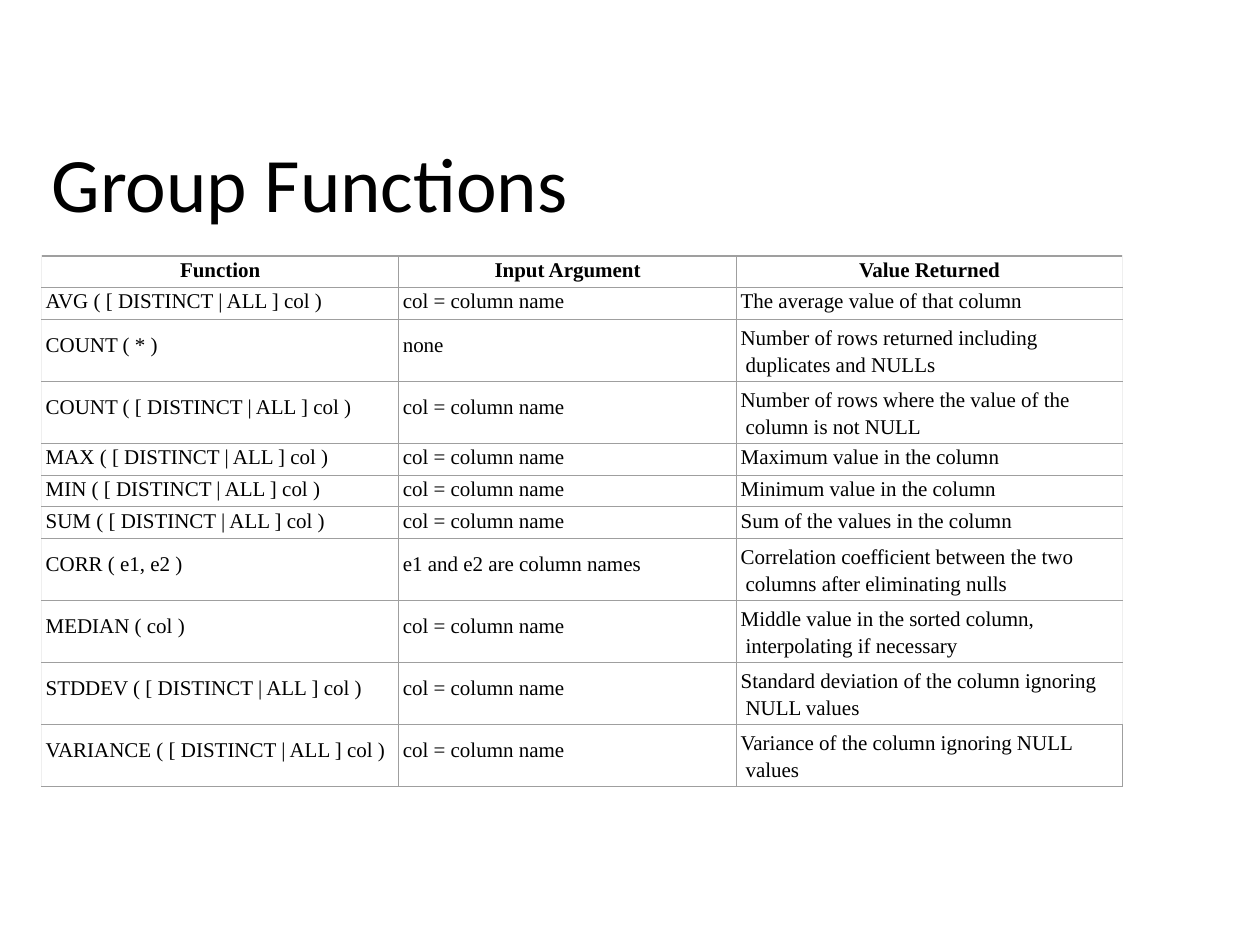
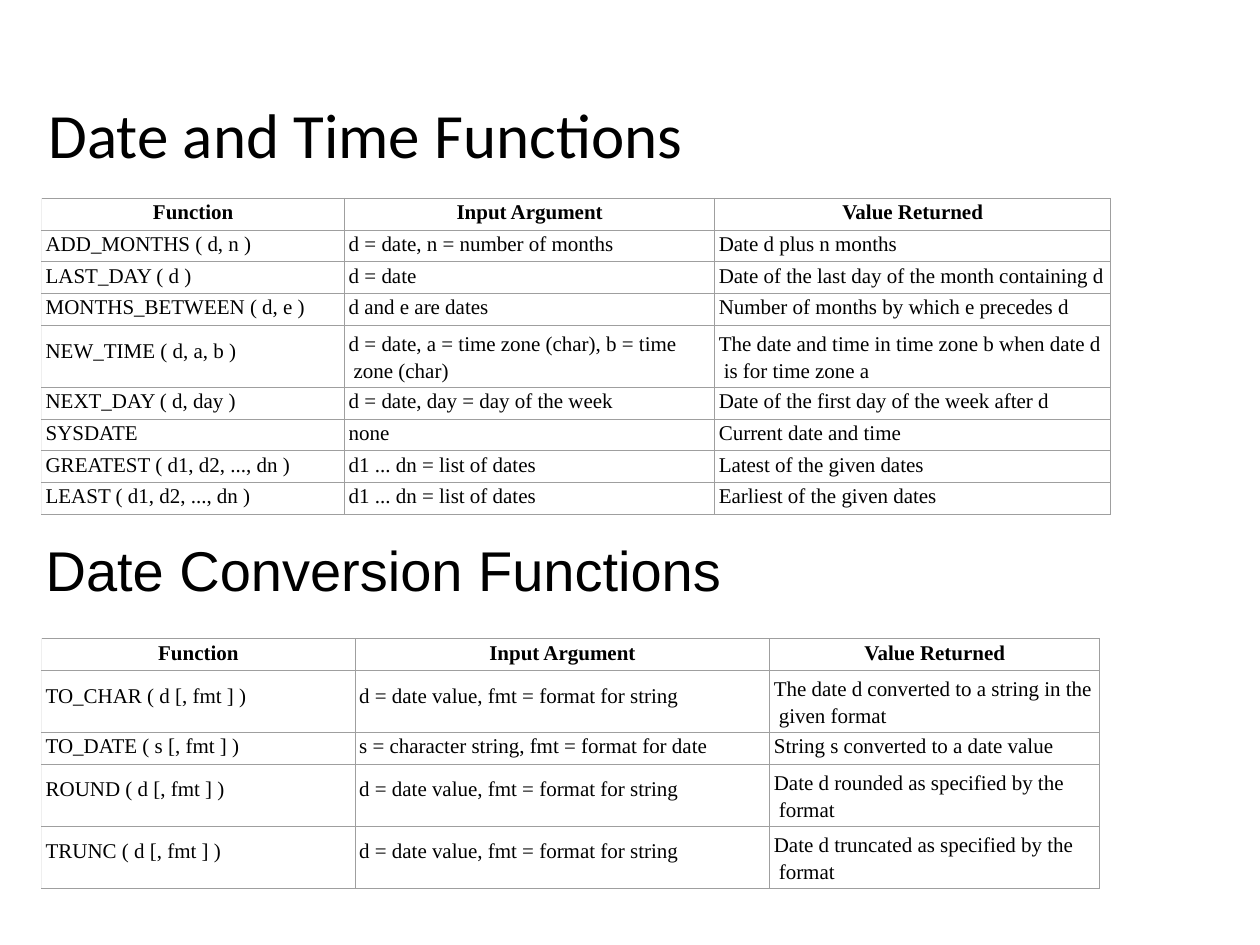
from dataclasses import dataclass

from lxml.etree import SubElement
from pptx import Presentation
from pptx.dml.color import RGBColor
from pptx.enum.text import MSO_ANCHOR, MSO_AUTO_SIZE, PP_ALIGN
from pptx.oxml.ns import qn
from pptx.util import Cm, Pt

BLACK = RGBColor(0x00, 0x00, 0x00)
GRAY = RGBColor(0x9F, 0x9F, 0x9F)
PALE = RGBColor(0xEF, 0xEF, 0xEF)
LEFT = Cm(0.84)
LOW, TALL = Cm(0.64), Cm(1.14)
PAD, HANG = Cm(0.08), Cm(0.1)
LONG = 40
HEADS = ("Function", "Input Argument", "Value Returned")
COL = "col = column name"
DATES = "d1 ... dn = list of dates"
VALUE = "d = date value, fmt = format for string"


@dataclass(frozen=True)
class Row:
    """One function, its input and its result."""

    cells: tuple[str, str, str]
    tall: bool = False


@dataclass(frozen=True)
class Grid:
    """A table of functions."""

    top: float
    widths: tuple[float, float, float]
    rows: tuple[Row, ...]
    fade: bool = False


@dataclass(frozen=True)
class Head:
    """A heading and its box in centimetres."""

    text: str
    top: float
    width: float
    height: float
    size: int
    font: str = "Calibri"


GROUP_HEAD = Head("Group Functions", 2.69, 10.69, 1.93, 44)
DATE_HEAD = Head("Date and Time Functions", 1.88, 12.93, 1.6, 36)
FORMAT_HEAD = Head("Date Conversion Functions", 10.77, 17.96, 1.4, 32, "Arial")

GROUP = Grid(5.16, (7.2, 6.81, 7.78), (
    Row(("AVG ( [ DISTINCT | ALL ] col )", COL, "The average value of that column")),
    Row(("COUNT ( * )", "none",
         "Number of rows returned including duplicates and NULLs"), True),
    Row(("COUNT ( [ DISTINCT | ALL ] col )", COL,
         "Number of rows where the value of the column is not NULL"), True),
    Row(("MAX ( [ DISTINCT | ALL ] col )", COL, "Maximum value in the column")),
    Row(("MIN ( [ DISTINCT | ALL ] col )", COL, "Minimum value in the column")),
    Row(("SUM ( [ DISTINCT | ALL ] col )", COL, "Sum of the values in the column")),
    Row(("CORR ( e1, e2 )", "e1 and e2 are column names",
         "Correlation coefficient between the two columns after eliminating nulls"), True),
    Row(("MEDIAN ( col )", COL,
         "Middle value in the sorted column, interpolating if necessary"), True),
    Row(("STDDEV ( [ DISTINCT | ALL ] col )", COL,
         "Standard deviation of the column ignoring NULL values"), True),
    Row(("VARIANCE ( [ DISTINCT | ALL ] col )", COL,
         "Variance of the column ignoring NULL values"), True),
), fade=True)

DATE = Grid(4.0, (6.11, 7.46, 7.98), (
    Row(("ADD_MONTHS ( d, n )", "d = date, n = number of months", "Date d plus n months")),
    Row(("LAST_DAY ( d )", "d = date", "Date of the last day of the month containing d")),
    Row(("MONTHS_BETWEEN ( d, e )", "d and e are dates",
         "Number of months by which e precedes d")),
    Row(("NEW_TIME ( d, a, b )", "d = date, a = time zone (char), b = time zone (char)",
         "The date and time in time zone b when date d is for time zone a"), True),
    Row(("NEXT_DAY ( d, day )", "d = date, day = day of the week",
         "Date of the first day of the week after d")),
    Row(("SYSDATE", "none", "Current date and time")),
    Row(("GREATEST ( d1, d2, ..., dn )", DATES, "Latest of the given dates")),
    Row(("LEAST ( d1, d2, ..., dn )", DATES, "Earliest of the given dates")),
))

FORMAT = Grid(12.88, (6.32, 8.36, 6.65), (
    Row(("TO_CHAR ( d [, fmt ] )", VALUE,
         "The date d converted to a string in the given format"), True),
    Row(("TO_DATE ( s [, fmt ] )", "s = character string, fmt = format for date",
         "String s converted to a date value")),
    Row(("ROUND ( d [, fmt ] )", VALUE, "Date d rounded as specified by the format"), True),
    Row(("TRUNC ( d [, fmt ] )", VALUE, "Date d truncated as specified by the format"), True),
))


def style(part, font: str, size: int, bold: bool = False) -> None:
    """Format every run of a paragraph."""
    for run in part.runs:
        run.font.name = font
        run.font.size = Pt(size)
        run.font.bold = bold
        run.font.color.rgb = BLACK


def fill_head(shape, head: Head, align: PP_ALIGN) -> None:
    """Place a heading and set its text."""
    shape.left, shape.top = Cm(0.89), Cm(head.top)
    shape.width, shape.height = Cm(head.width), Cm(head.height)
    frame = shape.text_frame
    frame.text = head.text
    frame.word_wrap = True
    frame.auto_size = MSO_AUTO_SIZE.SHAPE_TO_FIT_TEXT
    frame.margin_left = frame.margin_top = Cm(0.03)
    frame.margin_right = frame.margin_bottom = 0
    part = frame.paragraphs[0]
    part.alignment = align
    style(part, head.font, head.size)


def add_edge(cell, side: str, color: RGBColor) -> None:
    """Draw one border of a cell."""
    line = SubElement(cell._tc.get_or_add_tcPr(), qn(f"a:ln{side}"), w=str(Pt(0.75)))
    SubElement(SubElement(line, qn("a:solidFill")), qn("a:srgbClr"), val=str(color))


def fill_cell(cell, text: str, tall: bool, head: bool) -> None:
    """Set the text and the inner spacing of a cell."""
    cell.fill.background()
    cell.vertical_anchor = MSO_ANCHOR.TOP
    cell.margin_left = cell.margin_right = cell.margin_bottom = 0
    wrap = tall and len(text) > LONG
    cell.margin_top = Cm(0.08 if wrap else 0.28 if tall else 0.05)
    cell.text_frame.text = text
    part = cell.text_frame.paragraphs[0]
    style(part, "Times New Roman", 12, head)
    if head:
        part.alignment = PP_ALIGN.CENTER
        return
    props = part._p.get_or_add_pPr()
    props.set("marL", str(PAD + HANG if wrap else PAD))
    if wrap:
        props.set("indent", str(-HANG))
        part.line_spacing = 1.15


def add_grid(slide, grid: Grid) -> None:
    """Add a table with its heading row."""
    rows = (Row(HEADS), *grid.rows)
    high = sum(TALL if row.tall else LOW for row in rows)
    frame = slide.shapes.add_table(
        len(rows), len(HEADS), LEFT, Cm(grid.top), Cm(sum(grid.widths)), high)
    table = frame.table
    table.first_row = table.horz_banding = False
    for col, width in zip(table.columns, grid.widths):
        col.width = Cm(width)
    for y, row in enumerate(rows):
        table.rows[y].height = TALL if row.tall else LOW
        for x, text in enumerate(row.cells):
            cell = table.cell(y, x)
            fades = grid.fade and x == len(HEADS) - 1 and y < len(rows) - 1
            add_edge(cell, "L", GRAY if x else PALE)
            add_edge(cell, "R", PALE if fades else GRAY)
            add_edge(cell, "T", GRAY)
            add_edge(cell, "B", GRAY)
            fill_cell(cell, text, row.tall, y == 0)


def add_page(deck, head: Head):
    """Add a slide with its title."""
    slide = deck.slides.add_slide(deck.slide_layouts.get_by_name("Title Only"))
    fill_head(slide.shapes.title, head, PP_ALIGN.CENTER)
    slide.shapes.title.text_frame.vertical_anchor = MSO_ANCHOR.MIDDLE
    return slide


def main() -> None:
    """Build and save the deck."""
    deck = Presentation()
    deck.slide_width, deck.slide_height = Cm(25.4), Cm(19.05)
    add_grid(add_page(deck, GROUP_HEAD), GROUP)
    page = add_page(deck, DATE_HEAD)
    add_grid(page, DATE)
    fill_head(page.shapes.add_textbox(0, 0, 0, 0), FORMAT_HEAD, PP_ALIGN.LEFT)
    add_grid(page, FORMAT)
    deck.save("out.pptx")


if __name__ == "__main__":
    main()
